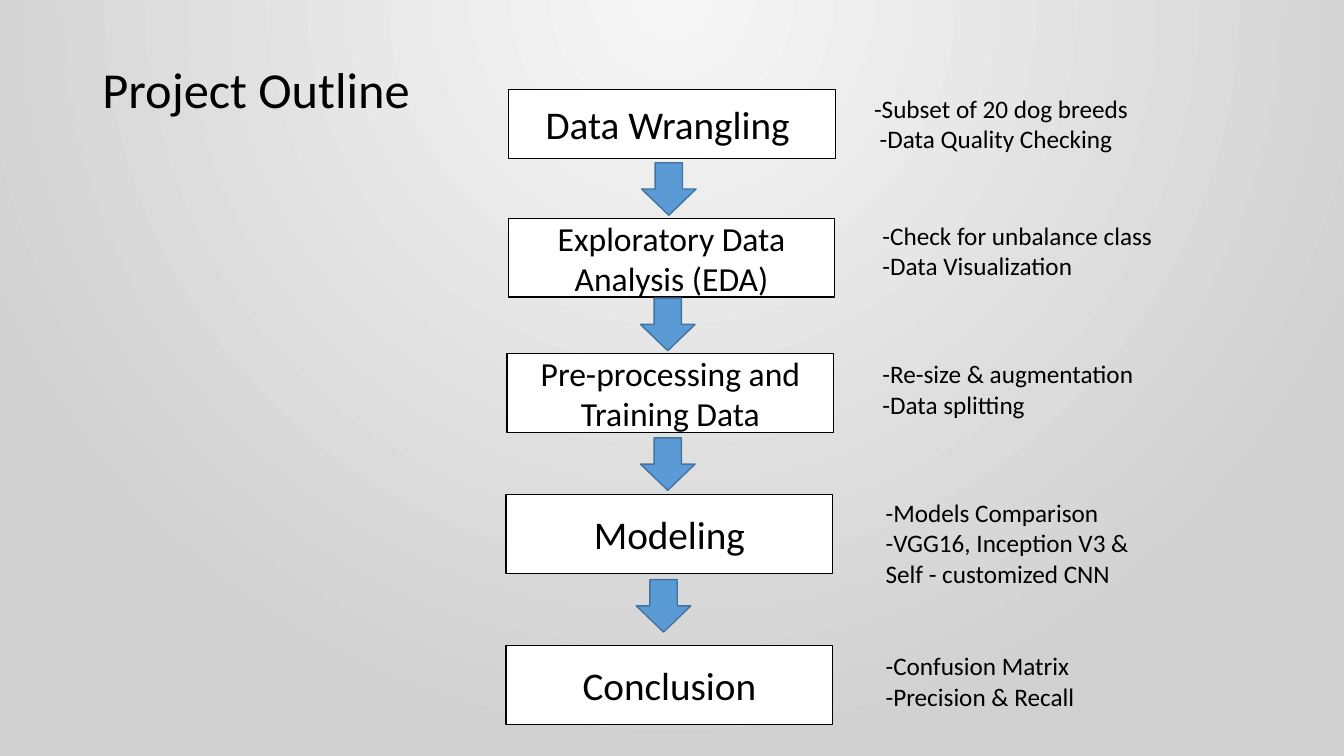
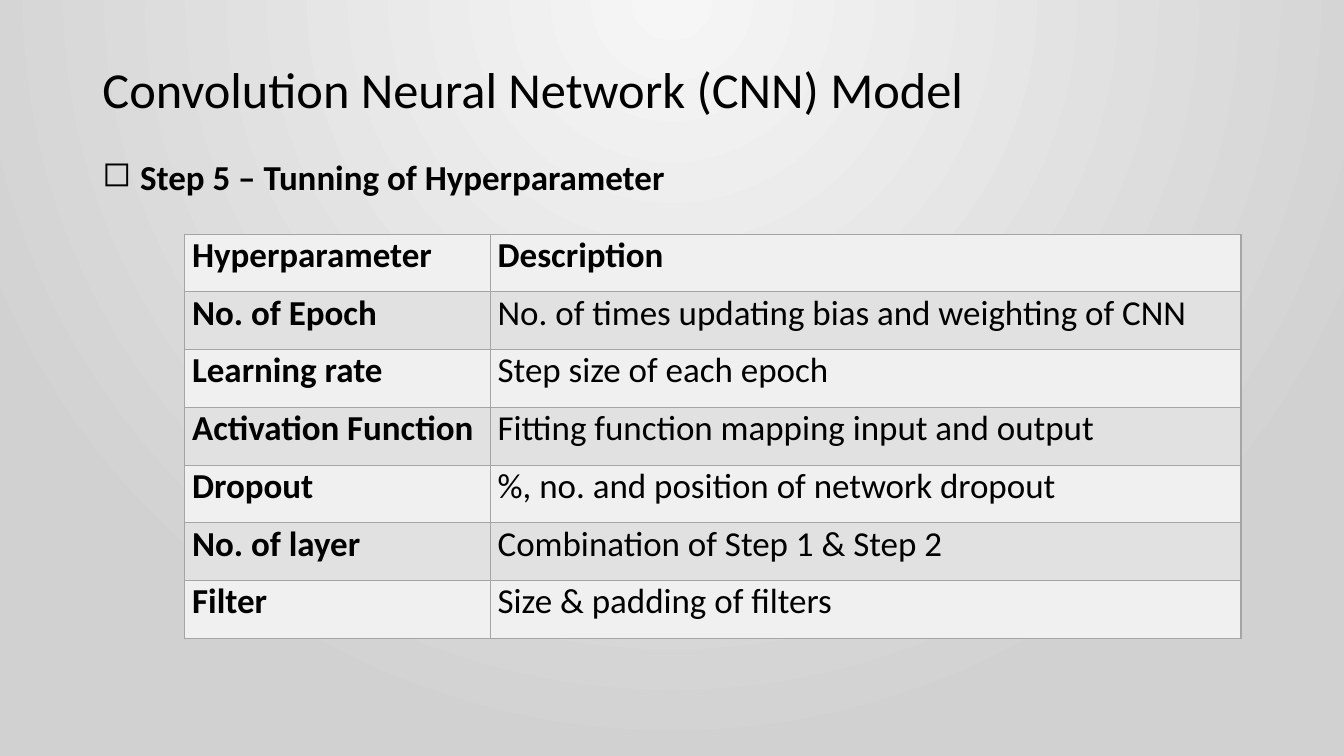
from dataclasses import dataclass
from lxml.etree import SubElement as sub
from pptx import Presentation
from pptx.dml.color import RGBColor as Rgb
from pptx.enum.shapes import MSO_SHAPE as Shape
from pptx.enum.text import MSO_ANCHOR as Anchor, MSO_AUTO_SIZE as Fit, PP_ALIGN as Align
from pptx.oxml.ns import qn
from pptx.util import Pt

SCALE = 9525


def px(*nums):
    return [num * SCALE for num in nums]


@dataclass(frozen=True)
class Theme:
    font: str = "Calibri"
    ink: str = "000000"
    paper: str = "FFFFFF"
    arrow: str = "5B9BD5"
    edge: str = "43739E"
    grid: str = "A5A5A5"
    bands: tuple = ("F0F0F0", "E1E1E1")
    glow: tuple = ("F6F6F6", "D2D1D1")
    head: int = 36
    large: int = 28
    body: int = 25
    mid: int = 24
    note: int = 18


class Deck:
    def __init__(self, theme):
        self.theme = theme
        self.prs = Presentation()
        self.prs.slide_width, self.prs.slide_height = px(1280, 720)
        self.slide = None
        self.back()

    def back(self):
        master = self.prs.slide_master
        fill = master.background.fill
        fill.gradient()
        for stop, tone in zip(fill.gradient_stops, self.theme.glow):
            stop.color.rgb = Rgb.from_string(tone)
        grad = master.element.find(".//" + qn("p:bg")).find(".//" + qn("a:gradFill"))
        grad.remove(grad.find(qn("a:lin")))
        ring = sub(grad, qn("a:path"), path="circle")
        sub(ring, qn("a:fillToRect"), l="43000", t="0", r="43000", b="100000")

    def label(self, frame, text, size, bold=False, align=Align.LEFT, anchor=Anchor.TOP):
        frame.text = text
        frame.word_wrap = True
        frame.vertical_anchor = anchor
        for para in frame.paragraphs:
            para.alignment = align
            font = para.font
            font.name, font.size, font.bold = self.theme.font, Pt(size), bold
            font.color.rgb = Rgb.from_string(self.theme.ink)

    def page(self, title):
        self.slide = self.prs.slides.add_slide(self.prs.slide_layouts[5])
        head = self.slide.shapes.title
        head.left, head.top, head.width, head.height = px(88, 51, 1075, 68)
        self.label(head.text_frame, title, self.theme.head)
        head.text_frame.auto_size = Fit.NONE

    def shape(self, kind, area, fill, line):
        item = self.slide.shapes.add_shape(kind, *px(*area))
        item.shadow.inherit = False
        item.fill.solid()
        item.fill.fore_color.rgb = Rgb.from_string(fill)
        item.line.color.rgb = Rgb.from_string(line)
        item.line.width = Pt(1)
        return item

    def box(self, area, text, size):
        item = self.shape(Shape.RECTANGLE, area, self.theme.paper, self.theme.ink)
        self.label(item.text_frame, text, size, align=Align.CENTER, anchor=Anchor.MIDDLE)

    def arrow(self, left, top):
        self.shape(Shape.DOWN_ARROW, (left, top, 52, 50), self.theme.arrow, self.theme.edge)

    def text(self, area, text, size, bold=False):
        frame = self.slide.shapes.add_textbox(*px(*area)).text_frame
        self.label(frame, text, size, bold)
        return frame

    def bullet(self, area, text):
        frame = self.text(area, text, self.theme.body, bold=True)
        indent, = px(36)
        for para in frame.paragraphs:
            props = para._p.get_or_add_pPr()
            props.set("marL", str(indent))
            props.set("indent", str(-indent))
            mark = props.makeelement(qn("a:buChar"), {"char": "◻"})
            props.insert(0, mark)

    def border(self, cell):
        props = cell._tc.get_or_add_tcPr()
        for side in "LRTB":
            line = sub(props, qn("a:ln" + side), w=str(int(Pt(1))))
            fill = sub(line, qn("a:solidFill"))
            sub(fill, qn("a:srgbClr"), val=self.theme.grid)

    def table(self, left, top, cols, high, rows):
        area = px(left, top, sum(cols), high * len(rows))
        grid = self.slide.shapes.add_table(len(rows), len(cols), *area).table
        grid.first_row = grid.horz_banding = False
        for col, wide in zip(grid.columns, px(*cols)):
            col.width = wide
        for r, row in enumerate(rows):
            for c, text in enumerate(row):
                cell = grid.cell(r, c)
                self.label(cell.text_frame, text, self.theme.body, bold=r == 0 or c == 0)
                cell.margin_left, cell.margin_right = px(7, 7)
                cell.margin_top = cell.margin_bottom = 0
                self.border(cell)
                cell.fill.solid()
                cell.fill.fore_color.rgb = Rgb.from_string(self.theme.bands[r % 2])


def outline(deck):
    theme = deck.theme
    deck.page("Project Outline")
    steps = [
        ((484, 85, 312, 66), "Data Wrangling ", theme.large,
         (823, 84), "-Subset of 20 dog breeds\n -Data Quality Checking"),
        ((484, 208, 311, 75), "Exploratory Data Analysis (EDA)", theme.mid,
         (831, 205), "-Check for unbalance class\n-Data Visualization"),
        ((483, 337, 311, 75), "Pre-processing and Training Data", theme.mid,
         (831, 337), "-Re-size & augmentation\n-Data splitting"),
        ((482, 471, 311, 75), "Modeling", theme.large,
         (834, 469), "-Models Comparison\n-VGG16, Inception V3 &\nSelf - customized CNN"),
        ((482, 615, 311, 75), "Conclusion", theme.large,
         (834, 615), "-Confusion Matrix\n-Precision & Recall"),
    ]
    for area, name, size, spot, note in steps:
        deck.box(area, name, size)
        lines = note.count("\n") + 1
        deck.text((*spot, 288, 10 + 29 * lines), note, theme.note)
    for spot in [(611, 155), (610, 284), (610, 417), (606, 552)]:
        deck.arrow(*spot)


def tuning(deck):
    deck.page("Convolution Neural Network (CNN) Model")
    deck.bullet((88, 143, 900, 90), "Step 5 – Tunning of Hyperparameter")
    deck.table(176, 223, (291, 715), 55, [
        ("Hyperparameter", "Description"),
        ("No. of Epoch", "No. of times updating bias and weighting of CNN"),
        ("Learning rate", "Step size of each epoch"),
        ("Activation Function", "Fitting function mapping input and output"),
        ("Dropout", "%, no. and position of network dropout"),
        ("No. of layer", "Combination of Step 1 & Step 2"),
        ("Filter", "Size & padding of filters"),
    ])


def main():
    deck = Deck(Theme())
    outline(deck)
    tuning(deck)
    deck.prs.save("out.pptx")


if __name__ == "__main__":
    main()
